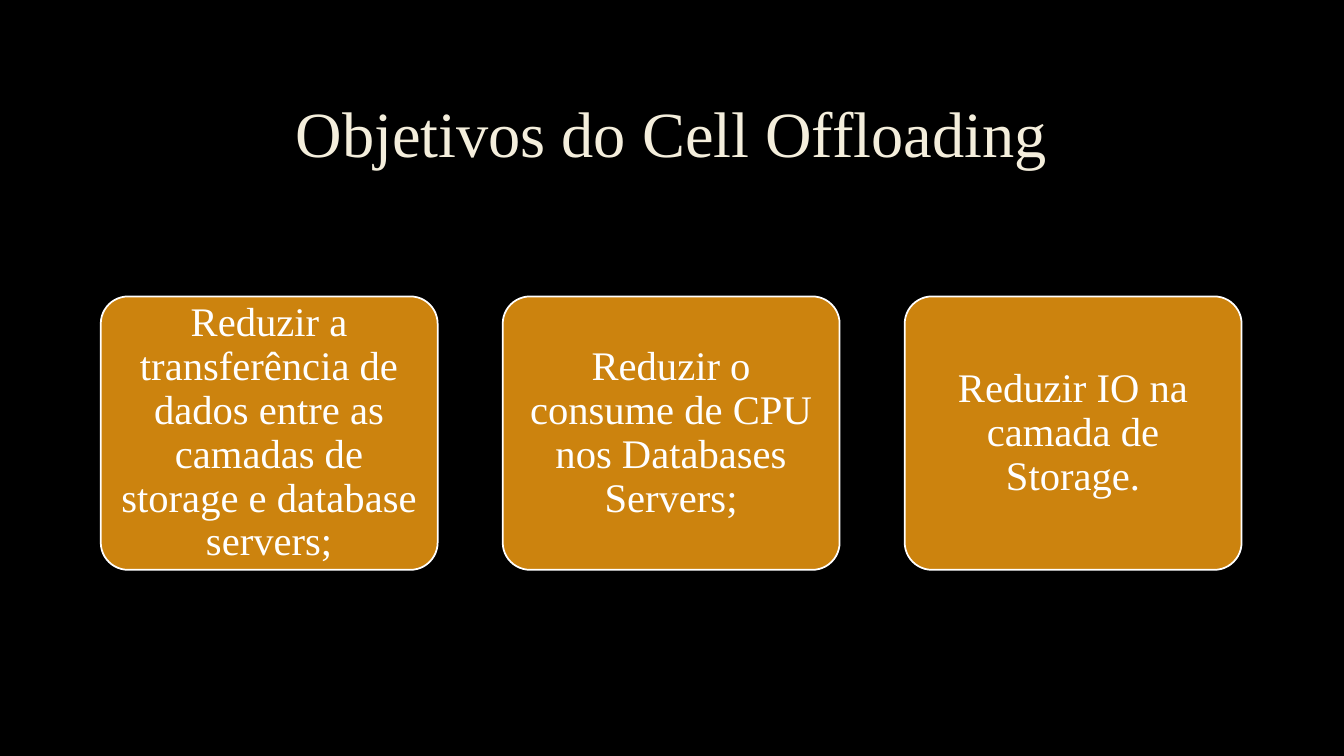
from dataclasses import dataclass

from pptx import Presentation
from pptx.dml.color import RGBColor
from pptx.enum.shapes import MSO_SHAPE
from pptx.enum.text import MSO_ANCHOR, PP_ALIGN
from pptx.util import Cm, Pt

ROUND = MSO_SHAPE.ROUNDED_RECTANGLE
MIDDLE = MSO_ANCHOR.MIDDLE
CENTER = PP_ALIGN.CENTER


@dataclass(frozen=True)
class Theme:
    back: RGBColor = RGBColor(0, 0, 0)
    cream: RGBColor = RGBColor(0xF4, 0xEE, 0xDC)
    amber: RGBColor = RGBColor(0xCC, 0x83, 0x0E)
    white: RGBColor = RGBColor(0xFF, 0xFF, 0xFF)
    face: str = "Times New Roman"
    head: Pt = Pt(46)
    body: Pt = Pt(29)
    edge: Pt = Pt(1.25)


THEME = Theme()
GOALS = [
    "Reduzir a transferência de dados entre as camadas de storage e database servers;",
    "Reduzir o consume de CPU nos Databases Servers;",
    "Reduzir IO na camada de Storage.",
]


def apply(item, values):
    for name, value in values.items():
        setattr(item, name, value)


def write(shape, text, size, color, pad_x, pad_y):
    frame = shape.text_frame
    apply(frame, {
        "word_wrap": True, "vertical_anchor": MIDDLE,
        "margin_left": Cm(pad_x), "margin_right": Cm(pad_x),
        "margin_top": Cm(pad_y), "margin_bottom": Cm(pad_y),
    })
    line = frame.paragraphs[0]
    line.text = text
    apply(line, {"alignment": CENTER, "line_spacing": 0.9})
    apply(line.font, {"name": THEME.face, "size": size})
    line.font.color.rgb = color


def add_title(slide, text, left, top, width, height):
    box = slide.shapes.add_textbox(Cm(left), Cm(top), Cm(width), Cm(height))
    write(box, text, THEME.head, THEME.cream, 0.25, 0.13)


def add_card(slide, text, left, top, width, height):
    card = slide.shapes.add_shape(ROUND, Cm(left), Cm(top), Cm(width), Cm(height))
    card.adjustments[0] = 0.1
    card.shadow.inherit = False
    card.fill.solid()
    card.fill.fore_color.rgb = THEME.amber
    card.line.color.rgb = THEME.white
    card.line.width = THEME.edge
    write(card, text, THEME.body, THEME.white, 0.15, 0.1)


def add_goals(slide, goals, left, top, width, height, gap):
    size = (width - gap * (len(goals) - 1)) / len(goals)
    for index, goal in enumerate(goals):
        add_card(slide, goal, left + index * (size + gap), top, size, height)


def main():
    deck = Presentation()
    apply(deck, {"slide_width": Cm(33.87), "slide_height": Cm(19.05)})
    slide = deck.slides.add_slide(deck.slide_layouts[6])
    slide.background.fill.solid()
    slide.background.fill.fore_color.rgb = THEME.back
    add_title(slide, "Objetivos do Cell Offloading", 2.54, 1.7, 28.75, 3.5)
    add_goals(slide, GOALS, 2.54, 7.47, 28.75, 6.89, 1.64)
    deck.save("out.pptx")


if __name__ == "__main__":
    main()
